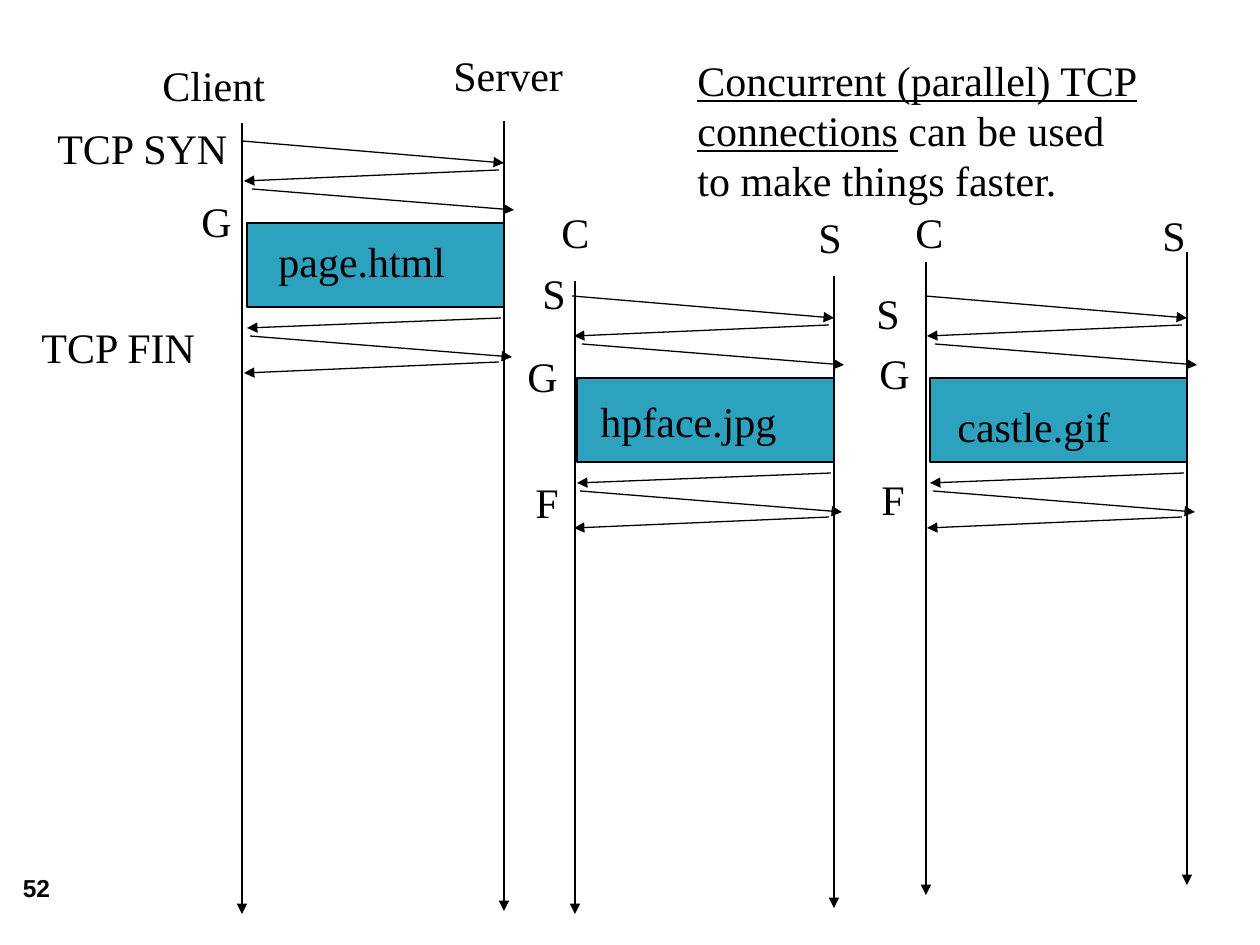
from lxml import etree
from pptx import Presentation
from pptx.dml.color import RGBColor
from pptx.enum.shapes import MSO_CONNECTOR, MSO_SHAPE
from pptx.enum.text import MSO_ANCHOR, MSO_AUTO_SIZE, PP_ALIGN
from pptx.oxml.ns import qn
from pptx.util import Pt

PX = 7257.14  # EMU per px, 126 px to the inch
STRAIGHT = MSO_CONNECTOR.STRAIGHT
RECTANGLE = MSO_SHAPE.RECTANGLE
COLORS = {"ink": "000000", "data": "2DA2BF"}
INK = RGBColor.from_string(COLORS["ink"])


def add_arrow(shapes, *ends):
    arrow = shapes.add_connector(STRAIGHT, *[round(v * PX) for v in ends])
    arrow.line.color.rgb = INK
    arrow.line.width = Pt(0.75)
    etree.SubElement(arrow.line._get_or_add_ln(), qn("a:tailEnd"), type="triangle")
    etree.SubElement(arrow._element.spPr, qn("a:effectLst"))


def add_text(shapes, box, lines, font="Times New Roman", size=24, bold=False):
    """Each line is a list of (text, underlined) runs."""
    label = shapes.add_textbox(*[round(v * PX) for v in box])
    frame = label.text_frame
    frame.word_wrap = False
    frame.auto_size = MSO_AUTO_SIZE.SHAPE_TO_FIT_TEXT
    for i, line in enumerate(lines):
        paragraph = frame.add_paragraph() if i else frame.paragraphs[0]
        for text, underlined in line:
            run = paragraph.add_run()
            run.text = text
            run.font.name = font
            run.font.size = Pt(size)
            run.font.bold = bold
            run.font.underline = underlined
            run.font.color.rgb = INK
    return frame


prs = Presentation()
prs.slide_width = round(1260 * PX)
prs.slide_height = round(945 * PX)
slide = prs.slides.add_slide(prs.slide_layouts[6])

# Slide number
number = add_text(slide.shapes, (0, 861, 73, 53), [[("52", False)]], "Arial", 14, True)
number.auto_size = MSO_AUTO_SIZE.NONE
number.vertical_anchor = MSO_ANCHOR.MIDDLE
number.paragraphs[0].alignment = PP_ALIGN.CENTER

# Time lines: x, top, bottom
for x, top, bottom in [(242, 123, 914), (504, 121, 911), (575, 281, 914),
                       (834, 276, 908), (926, 262, 895), (1187, 252, 885)]:
    add_arrow(slide.shapes, x, top, x, bottom)

# Message arrows of one connection, measured from the corner of its data block
MESSAGES = [(-5, -82, 257, -60), (252, -53, -3, -42), (5, -34, 267, -13),
            (254, 95, 0, 105), (3, 113, 265, 134), (252, 139, -3, 150)]

# Connections: corner of the data block, then labels as text, left, top, width
connections = [
    (247, 223, [("TCP SYN", 45, 116, 200), ("TCP FIN", 29, 315, 183),
                ("page.html", 266, 229, 195), ("G", 189, 189, 58)]),
    (930, 378, [("castle.gif", 945, 394, 181), ("G", 867, 341, 58),
                ("F", 869, 467, 52), ("S", 864, 281, 52)]),
    (577, 378, [("G", 515, 344, 58), ("hpface.jpg", 588, 389, 205),
                ("S", 530, 261, 52), ("F", 523, 470, 52)]),
]
for left, top, labels in connections:
    group = slide.shapes.add_group_shape().shapes
    for x1, y1, x2, y2 in MESSAGES:
        add_arrow(group, left + x1, top + y1, left + x2, top + y2)
    data = group.add_shape(RECTANGLE, *[round(v * PX) for v in (left, top, 257, 84)])
    data.shadow.inherit = False
    data.fill.solid()
    data.fill.fore_color.rgb = RGBColor.from_string(COLORS["data"])
    data.line.color.rgb = INK
    data.line.width = Pt(0.75)
    for text, x, y, width in labels:
        add_text(group, (x, y, width, 63), [[(text, False)]])

# Client and server headings
for text, x, y, width in [("Client", 150, 53, 134), ("Server", 441, 43, 138),
                          ("C", 549, 200, 56), ("S", 806, 205, 52),
                          ("C", 903, 200, 56), ("S", 1150, 203, 52)]:
    add_text(slide.shapes, (x, y, width, 63), [[(text, False)]])

# Statement
add_text(slide.shapes, (685, 48, 470, 164), [
    [("Concurrent (parallel) TCP", True)],
    [("connections", True), (" can be used", False)],
    [("to make things faster.", False)],
])

prs.save("out.pptx")
